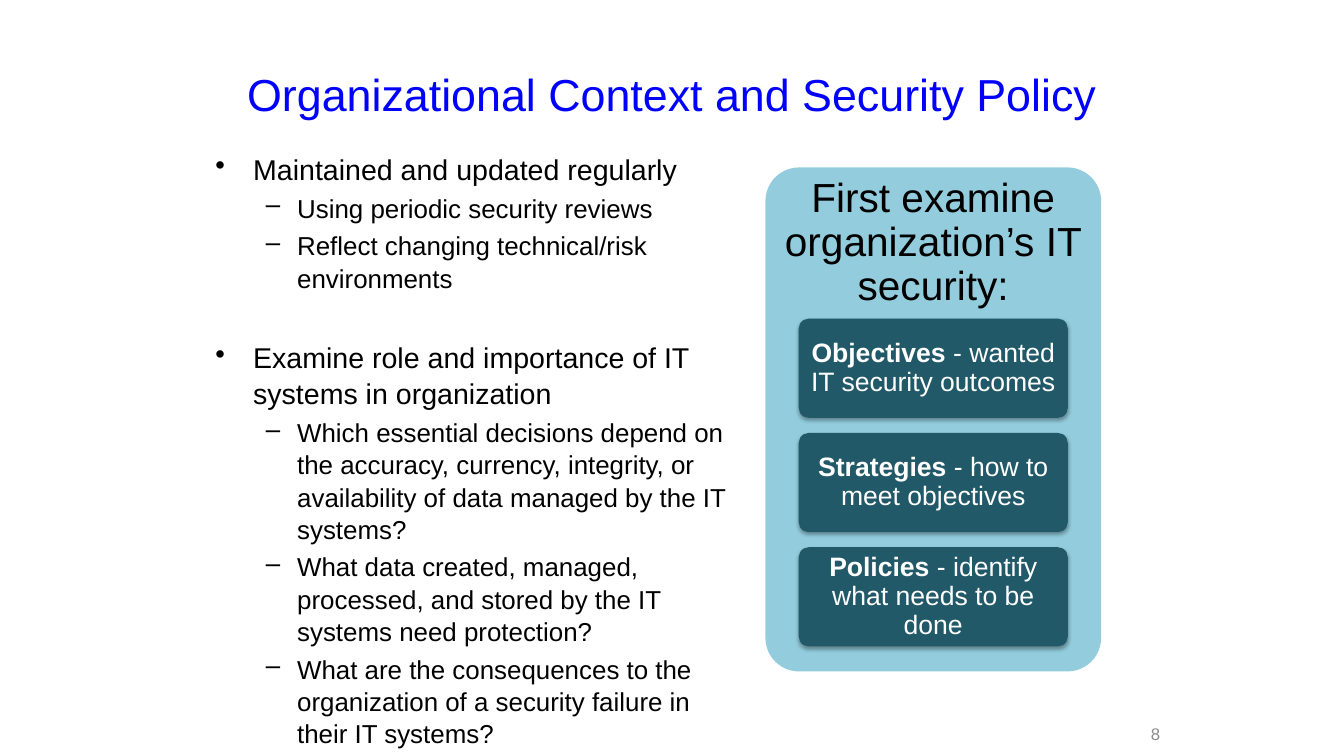
import pptx
import pptx.dml.color
import pptx.enum.shapes
import pptx.enum.text
import pptx.oxml
import pptx.oxml.ns
import pptx.util
from dataclasses import dataclass

Cm = pptx.util.Cm
Pt = pptx.util.Pt
ALIGN = pptx.enum.text.PP_ALIGN
ANCHOR = pptx.enum.text.MSO_ANCHOR


@dataclass(frozen=True)
class Theme:
    font: str = "Arial"
    title_color: str = "0000FF"
    text_color: str = "000000"
    number_color: str = "8C8C8C"
    panel_color: str = "93CDDD"
    card_color: str = "215968"
    card_text_color: str = "FFFFFF"
    title_size: float = 32
    bullet_sizes: tuple = (20.4, 18.5)
    panel_size: float = 29
    card_size: float = 19
    number_size: float = 12


class SlideBuilder:
    def __init__(self, slide, theme):
        self.slide = slide
        self.theme = theme

    def style(self, paragraph, size, color, align=ALIGN.LEFT):
        paragraph.alignment = align
        paragraph.font.name = self.theme.font
        paragraph.font.size = Pt(size)
        paragraph.font.color.rgb = pptx.dml.color.RGBColor.from_string(color)

    def text_box(self, left, top, width, height, anchor=ANCHOR.MIDDLE):
        box = self.slide.shapes.add_textbox(Cm(left), Cm(top), Cm(width), Cm(height))
        frame = box.text_frame
        frame.word_wrap = True
        frame.vertical_anchor = anchor
        return frame

    def label(self, text, box, size, color, align):
        paragraph = self.text_box(*box).paragraphs[0]
        paragraph.text = text
        self.style(paragraph, size, color, align)

    def bullets(self, items, box):
        frame = self.text_box(*box, anchor=ANCHOR.TOP)
        levels = ((0.95, "•"), (2.06, "–"))
        hanging = (0.95, 0.79)
        for index, (level, text, space_before) in enumerate(items):
            paragraph = frame.paragraphs[0] if index == 0 else frame.add_paragraph()
            paragraph.text = text
            paragraph.level = level
            paragraph.line_spacing = 1.04
            paragraph.space_before = Pt(space_before)
            self.style(paragraph, self.theme.bullet_sizes[level], self.theme.text_color)
            indent, character = levels[level]
            properties = paragraph._p.get_or_add_pPr()
            properties.set("marL", str(Cm(indent)))
            properties.set("indent", str(-Cm(hanging[level])))
            bullet = pptx.oxml.parse_xml(
                f'<a:buChar {pptx.oxml.ns.nsdecls("a")} char="{character}"/>')
            properties.insert_element_before(bullet, "a:tabLst", "a:defRPr", "a:extLst")

    def rounded(self, left, top, width, height, fill, inset, bottom_inset):
        shape = self.slide.shapes.add_shape(
            pptx.enum.shapes.MSO_SHAPE.ROUNDED_RECTANGLE,
            Cm(left), Cm(top), Cm(width), Cm(height))
        shape.adjustments[0] = 0.1
        shape.shadow.inherit = False
        shape.fill.solid()
        shape.fill.fore_color.rgb = pptx.dml.color.RGBColor.from_string(fill)
        shape.line.fill.background()
        frame = shape.text_frame
        frame.word_wrap = True
        frame.vertical_anchor = ANCHOR.MIDDLE
        frame.margin_left = frame.margin_right = frame.margin_top = Cm(inset)
        frame.margin_bottom = Cm(bottom_inset)
        frame.paragraphs[0].line_spacing = 0.9
        return shape

    def panel(self, text, left, top, width, height, heading_height):
        inset = 0.05
        shape = self.rounded(left, top, width, height, self.theme.panel_color,
                             inset, height - heading_height + inset)
        paragraph = shape.text_frame.paragraphs[0]
        paragraph.text = text
        self.style(paragraph, self.theme.panel_size, self.theme.text_color, ALIGN.CENTER)

    def card(self, term, meaning, left, top, width, height):
        shape = self.rounded(left, top, width, height, self.theme.card_color, 0.12, 0.12)
        paragraph = shape.text_frame.paragraphs[0]
        self.style(paragraph, self.theme.card_size, self.theme.card_text_color, ALIGN.CENTER)
        term_run = paragraph.add_run()
        term_run.text = term
        term_run.font.bold = True
        paragraph.add_run().text = f" - {meaning}"
        # Soft shadow below the card
        effects = shape._element.spPr.find(pptx.oxml.ns.qn("a:effectLst"))
        effects.append(pptx.oxml.parse_xml(
            f'<a:outerShdw {pptx.oxml.ns.nsdecls("a")} blurRad="{Pt(3.1)}" '
            f'dist="{Pt(1.8)}" dir="5400000" rotWithShape="0">'
            '<a:srgbClr val="000000"><a:alpha val="35000"/></a:srgbClr></a:outerShdw>'))


def main():
    presentation = pptx.Presentation()
    presentation.slide_width = Cm(33.87)
    presentation.slide_height = Cm(19.05)
    slide = presentation.slides.add_slide(presentation.slide_layouts[6])
    theme = Theme()
    builder = SlideBuilder(slide, theme)

    # Title and slide number
    builder.label("Organizational Context and Security Policy", (1.7, 0.76, 30.48, 3.18),
                  theme.title_size, theme.title_color, ALIGN.CENTER)
    builder.label("8", (27.76, 18.29, 1.73, 0.38),
                  theme.number_size, theme.number_color, ALIGN.RIGHT)

    # Bullets: level, text, space before in points
    builder.bullets([
        (0, "Maintained and updated regularly", 0),
        (1, "Using periodic security reviews", 3.7),
        (1, "Reflect changing technical/risk environments", 3.7),
        (0, "Examine role and importance of IT systems in organization", 32.5),
        (1, "Which essential decisions depend on the accuracy, currency, integrity, "
            "or availability of data managed by the IT systems?", 3.7),
        (1, "What data created, managed, processed, and stored by the IT systems "
            "need protection?", 3.7),
        (1, "What are the consequences to the organization of a security failure "
            "in their IT systems?", 3.7),
    ], (5.18, 3.66, 13.82, 14.63))

    # Panel with its heading
    panel_left, panel_top, panel_width, heading_height = 19.29, 4.22, 8.46, 3.81
    builder.panel("First examine organization’s IT security:",
                  panel_left, panel_top, panel_width, 12.7, heading_height)

    # Cards stacked below the heading
    card_width, card_height, card_gap = 6.78, 2.5, 0.38
    card_left = panel_left + (panel_width - card_width) / 2
    cards = [("Objectives", "wanted IT security outcomes"),
             ("Strategies", "how to meet objectives"),
             ("Policies", "identify what needs to be done")]
    for index, (term, meaning) in enumerate(cards):
        card_top = panel_top + heading_height + index * (card_height + card_gap)
        builder.card(term, meaning, card_left, card_top, card_width, card_height)

    presentation.save("out.pptx")


if __name__ == "__main__":
    main()
